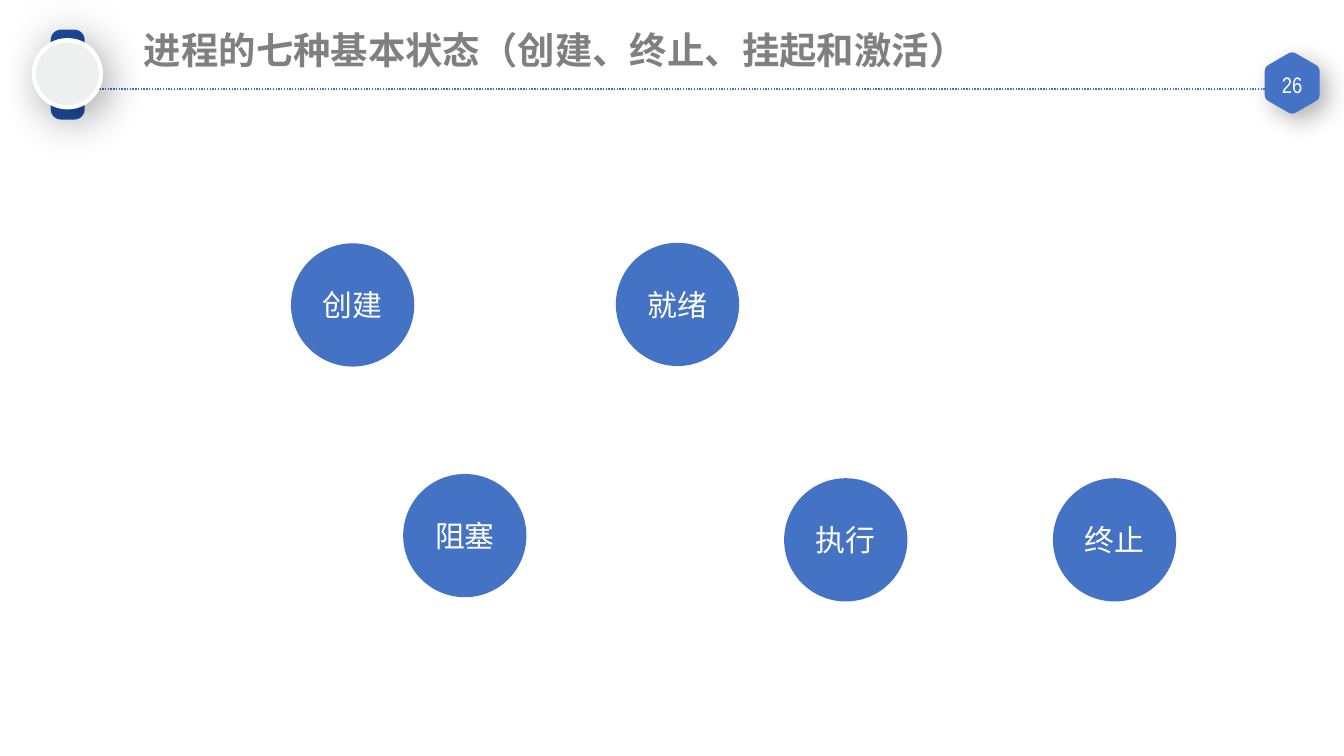
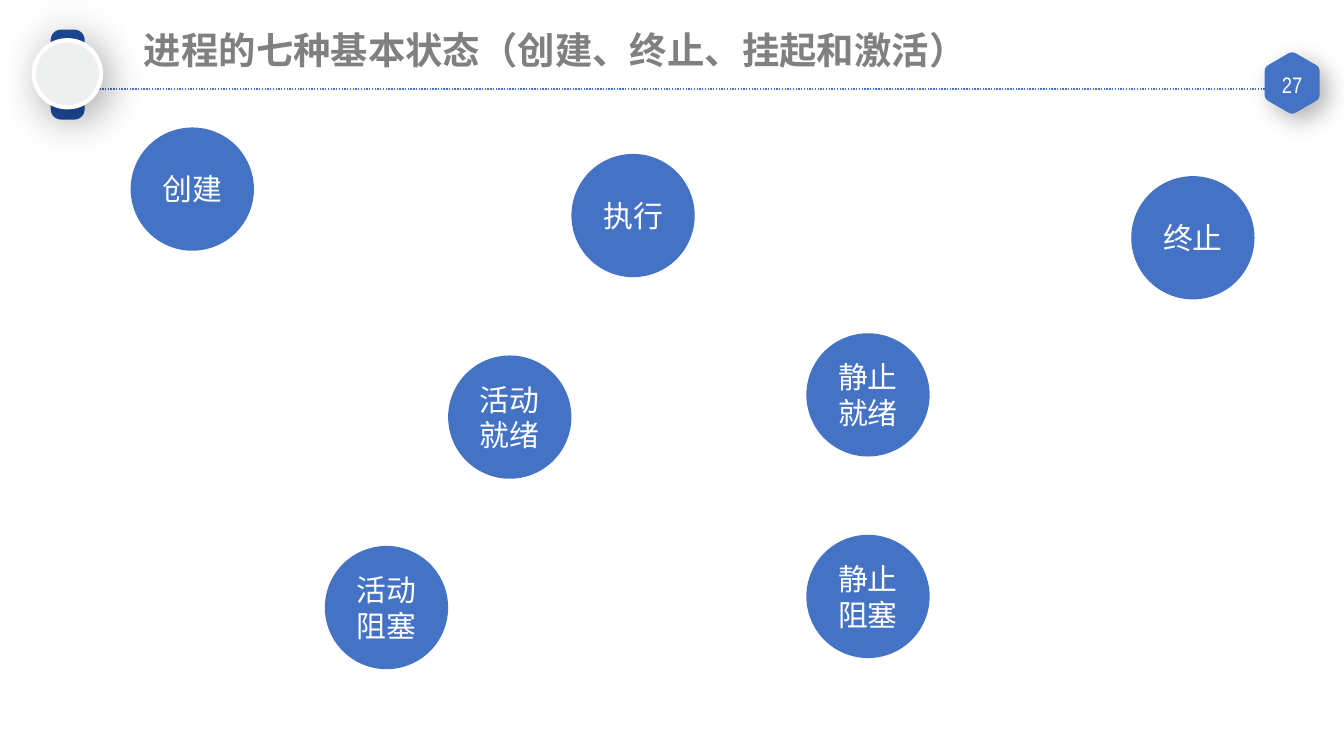
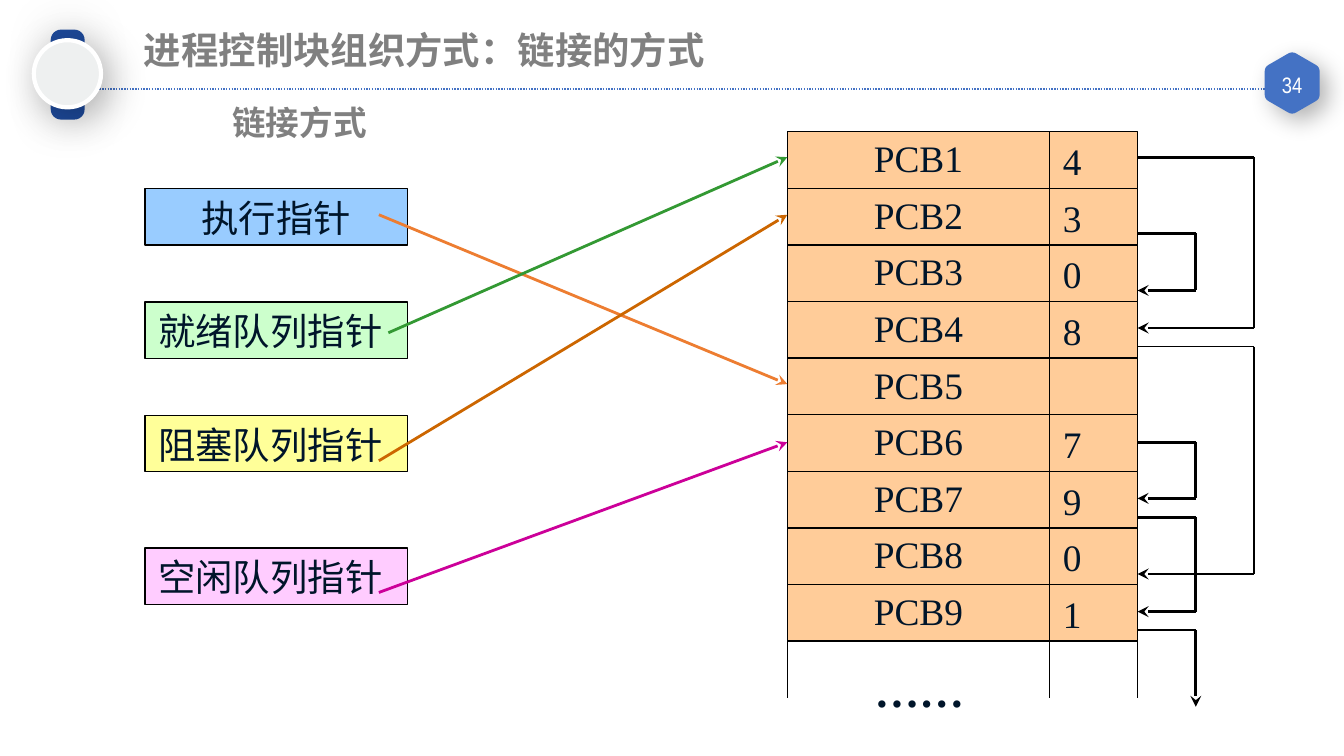
from dataclasses import dataclass
from math import cos, radians, sin

from lxml import etree
from pptx import Presentation
from pptx.dml.color import RGBColor
from pptx.enum.dml import MSO_LINE
from pptx.enum.shapes import MSO_CONNECTOR, MSO_SHAPE
from pptx.enum.text import MSO_ANCHOR, MSO_AUTO_SIZE, PP_ALIGN
from pptx.oxml.ns import qn
from pptx.util import Cm, Pt

RECT, OVAL, ROUNDED = MSO_SHAPE.RECTANGLE, MSO_SHAPE.OVAL, MSO_SHAPE.ROUNDED_RECTANGLE
STRAIGHT, DOTTED = MSO_CONNECTOR.STRAIGHT, MSO_LINE.ROUND_DOT
TOP, MIDDLE = MSO_ANCHOR.TOP, MSO_ANCHOR.MIDDLE
LEFT, CENTER, JUSTIFY = PP_ALIGN.LEFT, PP_ALIGN.CENTER, PP_ALIGN.JUSTIFY
FIT_SHAPE = MSO_AUTO_SIZE.SHAPE_TO_FIT_TEXT


@dataclass(frozen=True)
class Theme:
    accent: str = "4472C4"
    strap: str = "1D4999"
    dial: str = "EEF0F0"
    white: str = "FFFFFF"
    black: str = "000000"
    heading: str = "808080"
    ink: str = "00152A"
    cell: str = "FFCC99"
    sans: str = "Noto Sans CJK SC"
    serif: str = "Times New Roman"
    narrow: str = "Arial Narrow"
    title_size: int = 20
    subtitle_size: int = 18
    state_size: int = 16
    box_size: int = 20
    dots_size: int = 24
    page_size: int = 12
    thin: float = 0.75
    thick: float = 1.5


class Deck:
    def __init__(self, theme):
        self.theme = theme
        self.prs = Presentation()
        self.prs.slide_width, self.prs.slide_height = Cm(25.4), Cm(14.29)
        self.s = None

    def slide(self, title, page, title_width):
        t = self.theme
        self.s = self.prs.slides.add_slide(self.prs.slide_layouts[6])
        self.line((0.84, 1.68), (23.95, 1.68), t.accent, t.thin).line.dash_style = DOTTED
        self.badge(24.42, 1.57, 0.58)
        self.label((23.92, 1.27, 1, 0.64), str(page), t.page_size, t.white, t.narrow,
                   align=CENTER, anchor=MIDDLE, insets=(0.18, 0.1))
        strap = self.shape(ROUNDED, (0.43, 1.09, 1.7, 0.64), t.strap)
        strap.rotation = 270
        strap.adjustments[0] = 0.3
        self.shadow(strap, 17, 27, 0, 0)
        self.shadow(self.shape(OVAL, (0.64, 0.76, 1.27, 1.27), t.dial, t.white, 2.25), 28, 22, 6, 45)
        self.label((2.54, 0.41, title_width, 1.04), title, t.title_size, t.heading, t.sans,
                   bold=True, insets=(0.18, 0.1), fit=True)

    def badge(self, cx, cy, radius, cut=0.13):
        corners = [(cx + radius * cos(radians(a)), cy + radius * sin(radians(a)))
                   for a in range(30, 390, 60)]
        points = []
        for i, (x, y) in enumerate(corners):
            (px, py), (nx, ny) = corners[i - 1], corners[(i + 1) % 6]
            for step in range(5):
                q = step / 4
                before, after = cut * (1 - q) ** 2, cut * q ** 2
                points.append((Cm(x + before * (px - x) + after * (nx - x)),
                               Cm(y + before * (py - y) + after * (ny - y))))
        builder = self.s.shapes.build_freeform(*points[0])
        builder.add_line_segments(points[1:], close=True)
        sp = builder.convert_to_shape()
        self.paint(sp, self.theme.accent, self.theme.accent, 1)
        self.shadow(sp, 30, 13, 6, 45)

    def paint(self, sp, fill, line, width):
        sp.shadow.inherit = False
        sp.fill.solid()
        sp.fill.fore_color.rgb = RGBColor.from_string(fill)
        if line:
            sp.line.color.rgb = RGBColor.from_string(line)
            sp.line.width = Pt(width)
        else:
            sp.line.fill.background()

    def shape(self, kind, box, fill, line=None, width=0.75):
        sp = self.s.shapes.add_shape(kind, *map(Cm, box))
        self.paint(sp, fill, line, width)
        return sp

    def shadow(self, sp, alpha, blur, distance, angle):
        effects = sp._element.spPr.find(qn("a:effectLst"))
        outer = etree.SubElement(effects, qn("a:outerShdw"), blurRad=str(Pt(blur)),
                                 dist=str(Pt(distance)), dir=str(angle * 60000),
                                 algn="ctr", rotWithShape="0")
        color = etree.SubElement(outer, qn("a:srgbClr"), val=self.theme.black)
        etree.SubElement(color, qn("a:alpha"), val=str(alpha * 1000))

    def text(self, sp, text, size, color, font, align=LEFT, anchor=TOP, bold=False, spacing=None):
        tf = sp.text_frame
        tf.word_wrap = True
        tf.vertical_anchor = anchor
        p = tf.paragraphs[0]
        p.add_run().text = text
        p.alignment = align
        if spacing:
            p.line_spacing = spacing
        p.font.size, p.font.bold, p.font.name = Pt(size), bold, font
        p.font.color.rgb = RGBColor.from_string(color)
        defaults = p._p.pPr.find(qn("a:defRPr"))
        etree.SubElement(defaults, qn("a:ea"), typeface=self.theme.sans)
        return tf

    def label(self, box, text, size, color, font, align=LEFT, anchor=TOP, bold=False,
              insets=(0.25, 0.13), fit=False, wrap=True):
        sp = self.s.shapes.add_textbox(*map(Cm, box))
        tf = self.text(sp, text, size, color, font, align, anchor, bold)
        tf.word_wrap = wrap
        tf.margin_left = tf.margin_right = Cm(insets[0])
        tf.margin_top = tf.margin_bottom = Cm(insets[1])
        if fit:
            tf.auto_size = FIT_SHAPE

    def state(self, text, left, top):
        t = self.theme
        sp = self.shape(OVAL, (left, top, 2.33, 2.33), t.accent)
        self.text(sp, text, t.state_size, t.white, t.sans, CENTER, MIDDLE)

    def cell(self, box, text, fill, align, spacing=None):
        t = self.theme
        sp = self.shape(RECT, box, fill, t.black, t.thin)
        if text:
            self.text(sp, text, t.box_size, t.ink, t.serif, align, spacing=spacing)

    def line(self, start, end, color, width, arrow=False):
        c = self.s.shapes.add_connector(STRAIGHT, *map(Cm, start + end))
        c.line.color.rgb = RGBColor.from_string(color)
        c.line.width = Pt(width)
        spPr = c._element.spPr
        if arrow:
            etree.SubElement(spPr.find(qn("a:ln")), qn("a:tailEnd"), type="stealth")
        etree.SubElement(spPr, qn("a:effectLst"))
        return c

    def route(self, points, first_width):
        t = self.theme
        last = len(points) - 2
        for i, (start, end) in enumerate(zip(points, points[1:])):
            self.line(start, end, t.black, t.thick if i else first_width, arrow=i == last)


def state_slide(deck, page, states):
    deck.slide("进程的七种基本状态（创建、终止、挂起和激活）", page, 17.35)
    for text, left, top in states:
        deck.state(text, left, top)


def linked_slide(deck):
    t = deck.theme
    deck.slide("进程控制块组织方式：链接的方式", 34, 12.7)
    row, table_top = 1.07, 2.49
    table_left, divider, table_right = 14.88, 19.84, 21.5
    inner, outer = 22.6, 23.7

    pointers = [
        ("执行指针", 3.56, "99CCFF", CENTER),
        ("就绪队列指针", 5.71, "CCFFCC", JUSTIFY),
        ("阻塞队列指针", 7.85, "FFFF99", JUSTIFY),
        ("空闲队列指针", 10.36, "FFCCFF", JUSTIFY),
    ]
    for text, top, fill, align in pointers:
        deck.cell((2.74, top, 4.96, row), text, fill, align)

    next_pcb = ["4", "3", "0", "8", "", "7", "9", "0", "1"]
    for i, number in enumerate(next_pcb):
        top = table_top + i * row
        deck.cell((table_left, top, divider - table_left, row), f"PCB{i + 1}", t.cell, CENTER, 0.96)
        deck.cell((divider, top, table_right - divider, row), number, t.cell, JUSTIFY)

    bottom = table_top + len(next_pcb) * row
    for x in (table_left, divider, table_right):
        deck.line((x, bottom), (x, bottom + row), t.black, t.thin)

    arrows = [
        ((7.16, 4.06), 7.26, "ED7D31"),
        ((7.34, 6.29), 2.97, "339933"),
        ((7.16, 8.71), 4.06, "CC6600"),
        ((7.16, 11.2), 8.36, "CC0099"),
    ]
    for start, y, color in arrows:
        deck.line(start, (table_left, y), color, t.thick, arrow=True)

    links = [
        (2.97, 6.2, outer, t.thick),
        (4.41, 5.49, inner, t.thick),
        (8.36, 9.42, inner, t.thick),
        (6.55, 10.85, outer, t.thin),
        (9.78, 11.56, inner, t.thick),
    ]
    for y1, y2, lane, width in links:
        deck.route([(table_right, y1), (lane, y1), (lane, y2), (table_right, y2)], width)
    deck.route([(table_right, 11.91), (inner, 11.91), (inner, 13.36)], t.thick)

    deck.label((16.28, 12.4, 2.29, 0.81), "……", t.dots_size, t.ink, t.serif,
               bold=True, fit=True, wrap=False)
    deck.label((4.14, 1.8, 3.48, 1.02), "链接方式", t.subtitle_size, t.heading, t.sans,
               bold=True, fit=True)


def main():
    deck = Deck(Theme())
    state_slide(deck, 26, [
        ("执行", 14.82, 9.04),
        ("就绪", 11.64, 4.59),
        ("阻塞", 7.62, 8.96),
        ("终止", 19.9, 9.04),
        ("创建", 5.5, 4.6),
    ])
    state_slide(deck, 27, [
        ("执行", 10.8, 2.91),
        ("活动就绪", 8.47, 6.72),
        ("活动阻塞", 6.14, 10.32),
        ("终止", 21.38, 3.33),
        ("创建", 2.47, 2.41),
        ("静止就绪", 15.24, 6.3),
        ("静止阻塞", 15.24, 10.11),
    ])
    linked_slide(deck)
    deck.prs.save("out.pptx")


if __name__ == "__main__":
    main()
